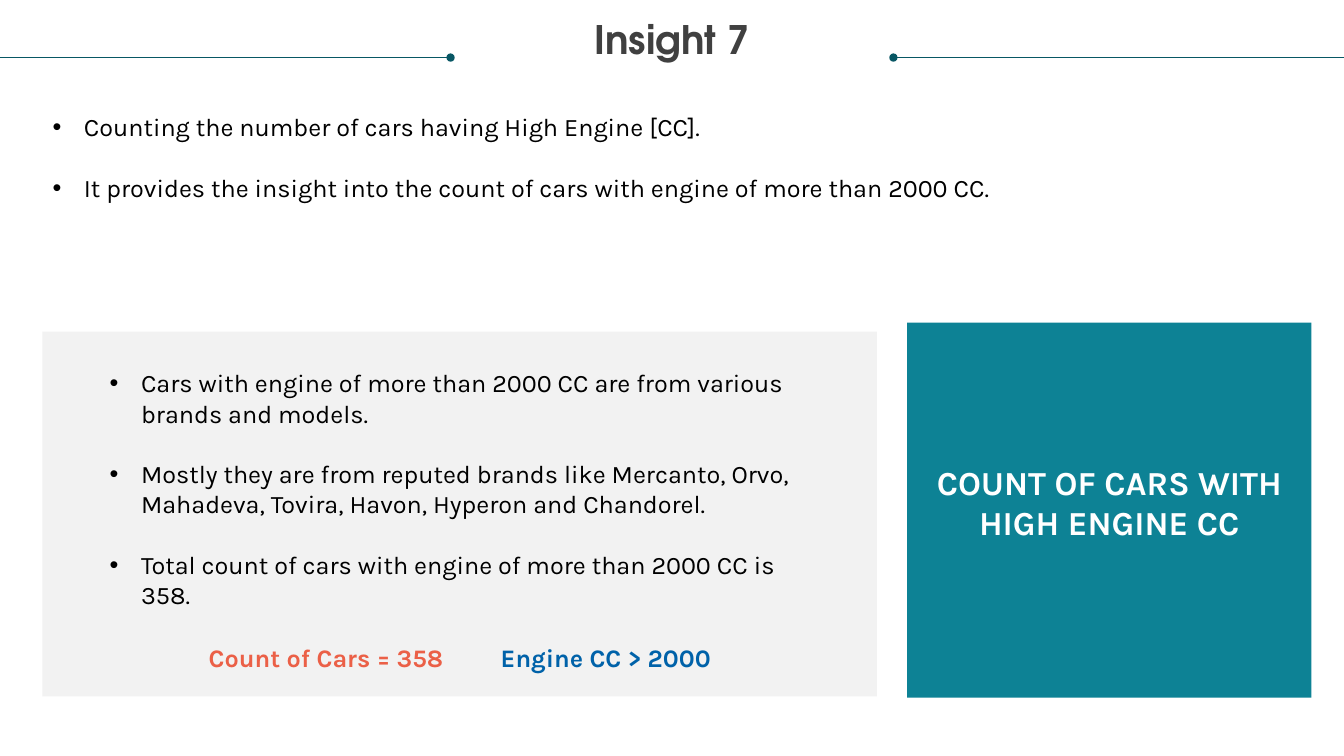
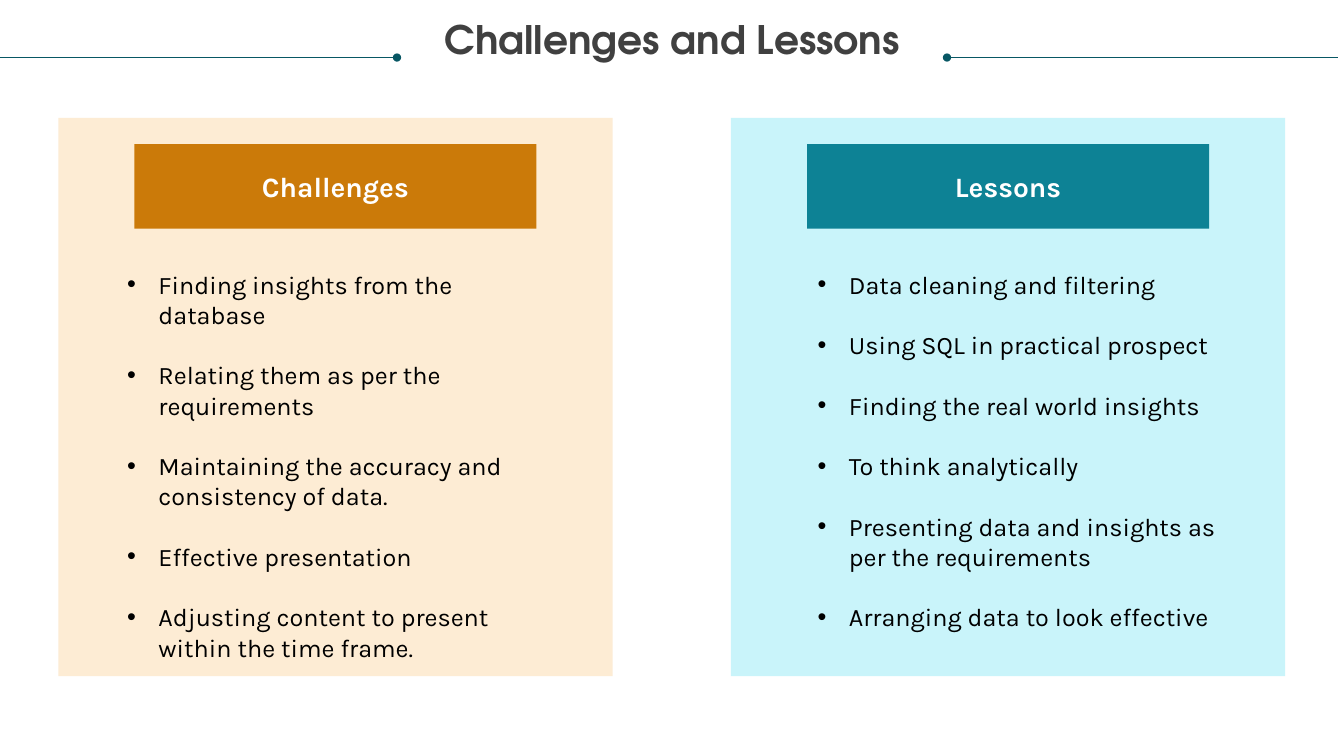
from dataclasses import dataclass

from pptx import Presentation
from pptx.dml.color import RGBColor as Rgb
from pptx.enum.shapes import MSO_CONNECTOR as Connector, MSO_SHAPE as Shape
from pptx.enum.text import MSO_ANCHOR as Anchor, MSO_AUTO_SIZE as AutoSize, PP_ALIGN as Align
from pptx.oxml.ns import qn
from pptx.util import Cm, Pt


@dataclass(frozen=True)
class Theme:
    title_font: str = "TeX Gyre Adventor"
    body_font: str = "Karla"
    title_size: float = 28
    callout_size: float = 24
    header_size: float = 20
    body_size: float = 18
    item_gap: float = 21.6
    title: str = "404040"
    body: str = "000000"
    white: str = "FFFFFF"
    rule: str = "085764"
    teal: str = "0D8295"
    pale_teal: str = "C9F4FA"
    orange: str = "CB7A09"
    pale_orange: str = "FDECD4"
    gray: str = "F2F2F2"
    red: str = "EB6047"
    blue: str = "0062A9"


THEME = Theme()
SLIDE_WIDTH, SLIDE_HEIGHT = 33.87, 19.05
RULE_TOP = 1.45
BULLET_INDENT = Cm(0.79)
TWO_CONTENT_LAYOUT = 3


# Text and placement helpers
def place(shape, left, top, width, height):
    shape.left, shape.top = Cm(left), Cm(top)
    shape.width, shape.height = Cm(width), Cm(height)


def style_font(paragraph, size, color, bold=False, name=THEME.body_font):
    font = paragraph.font
    font.name, font.size, font.bold = name, Pt(size), bold
    font.color.rgb = Rgb.from_string(color)


# Title with a dotted rule on each side
def add_rule(slide, dot_x, edge_x):
    rule = slide.shapes.add_connector(
        Connector.STRAIGHT, Cm(dot_x), Cm(RULE_TOP), Cm(edge_x), Cm(RULE_TOP))
    rule.line.color.rgb = Rgb.from_string(THEME.rule)
    rule.line.width = Pt(0.5)
    properties = rule.element.spPr
    line = properties.find(qn("a:ln"))
    line.append(line.makeelement(qn("a:headEnd"), {"type": "oval"}))
    properties.append(properties.makeelement(qn("a:effectLst"), {}))


def add_titled_slide(presentation, text, half_gap, right_edge=SLIDE_WIDTH):
    slide = presentation.slides.add_slide(presentation.slide_layouts[TWO_CONTENT_LAYOUT])
    title = slide.shapes.title
    place(title, 0.64, 0.53, 32.59, 1.07)
    frame = title.text_frame
    frame.text = text
    frame.auto_size = AutoSize.NONE
    frame.vertical_anchor = Anchor.TOP
    frame.margin_left = frame.margin_right = frame.margin_top = frame.margin_bottom = 0
    paragraph = frame.paragraphs[0]
    paragraph.alignment, paragraph.line_spacing = Align.CENTER, 0.9
    style_font(paragraph, THEME.title_size, THEME.title, True, THEME.title_font)
    center = SLIDE_WIDTH / 2
    add_rule(slide, center - half_gap, 0)
    add_rule(slide, center + half_gap, right_edge)
    return slide


# Content elements
def fill_list(slide, index, items, *box):
    placeholder = slide.placeholders[index]
    place(placeholder, *box)
    slide.shapes.element.append(placeholder.element)  # bring in front of the panels
    frame = placeholder.text_frame
    frame.text = "\n".join(items)
    frame.auto_size = AutoSize.NONE
    for paragraph in frame.paragraphs:
        style_font(paragraph, THEME.body_size, THEME.body)
        paragraph.space_before, paragraph.space_after = Pt(0), Pt(THEME.item_gap)
        properties = paragraph._p.get_or_add_pPr()
        properties.set("marL", str(BULLET_INDENT))
        properties.set("indent", str(-BULLET_INDENT))


def add_panel(slide, color, *box):
    panel = slide.shapes.add_shape(Shape.RECTANGLE, *map(Cm, box))
    panel.shadow.inherit = False
    panel.fill.solid()
    panel.fill.fore_color.rgb = Rgb.from_string(color)
    panel.line.fill.background()
    return panel


def add_label_panel(slide, text, size, color, *box):
    frame = add_panel(slide, color, *box).text_frame
    frame.text = text
    frame.word_wrap = True
    frame.vertical_anchor = Anchor.MIDDLE
    paragraph = frame.paragraphs[0]
    paragraph.alignment = Align.CENTER
    style_font(paragraph, size, THEME.white, True)
    return frame


def add_key_figure(slide, text, color, left):
    frame = slide.shapes.add_textbox(Cm(left), Cm(16.05), Cm(6.5), Cm(1)).text_frame
    frame.word_wrap = True
    frame.text = text
    style_font(frame.paragraphs[0], THEME.body_size, color, True)


def add_column(slide, index, header, items, colors, left, list_inset, list_width):
    panel_color, header_color = colors
    panel_width, header_width = 13.97, 10.13
    add_panel(slide, panel_color, left, 2.97, panel_width, 14.07)
    add_label_panel(slide, header, THEME.header_size, header_color,
                    left + (panel_width - header_width) / 2, 3.63, header_width, 2.13)
    fill_list(slide, index, items, left + list_inset, 6.65, list_width, 10.06)


# Slides
def build_insight(presentation):
    slide = add_titled_slide(presentation, "Insight 7", 5.58)
    fill_list(slide, 1, [
        "Counting the number of cars having High Engine [CC].",
        "It provides the insight into the count of cars with engine of more than 2000 CC.",
    ], 1.07, 2.69, 32.16, 2.57)
    add_panel(slide, THEME.gray, 1.07, 8.36, 21.03, 9.19)
    fill_list(slide, 2, [
        "Cars with engine of more than 2000 CC are from various brands and models.",
        "Mostly they are from reputed brands like Mercanto, Orvo, "
        "Mahadeva, Tovira, Havon, Hyperon and Chandorel.",
        "Total count of cars with engine of more than 2000 CC is 358.",
    ], 2.51, 9.14, 18.16, 6.6)
    add_key_figure(slide, "Count of Cars = 358", THEME.red, 5.01)
    add_key_figure(slide, "Engine CC > 2000", THEME.blue, 12.37)
    callout = add_label_panel(slide, "COUNT OF CARS WITH HIGH ENGINE CC",
                              THEME.callout_size, THEME.teal, 22.86, 8.13, 10.19, 9.45)
    callout.margin_bottom = Cm(0.53)


def build_lessons(presentation):
    slide = add_titled_slide(presentation, "Challenges and Lessons", 6.93, 33.71)
    add_column(slide, 1, "Challenges", [
        "Finding insights from the database",
        "Relating them as per the requirements",
        "Maintaining the accuracy and consistency of data.",
        "Effective presentation",
        "Adjusting content to present within the time frame.",
    ], (THEME.pale_orange, THEME.orange), 1.47, 1.48, 11.02)
    add_column(slide, 2, "Lessons", [
        "Data cleaning and filtering",
        "Using SQL in practical prospect",
        "Finding the real world insights",
        "To think analytically",
        "Presenting data and insights as per the requirements",
        "Arranging data to look effective",
    ], (THEME.pale_teal, THEME.teal), 18.42, 1.93, 10.8)


def main():
    presentation = Presentation()
    presentation.slide_width, presentation.slide_height = Cm(SLIDE_WIDTH), Cm(SLIDE_HEIGHT)
    build_insight(presentation)
    build_lessons(presentation)
    presentation.save("out.pptx")


if __name__ == "__main__":
    main()
